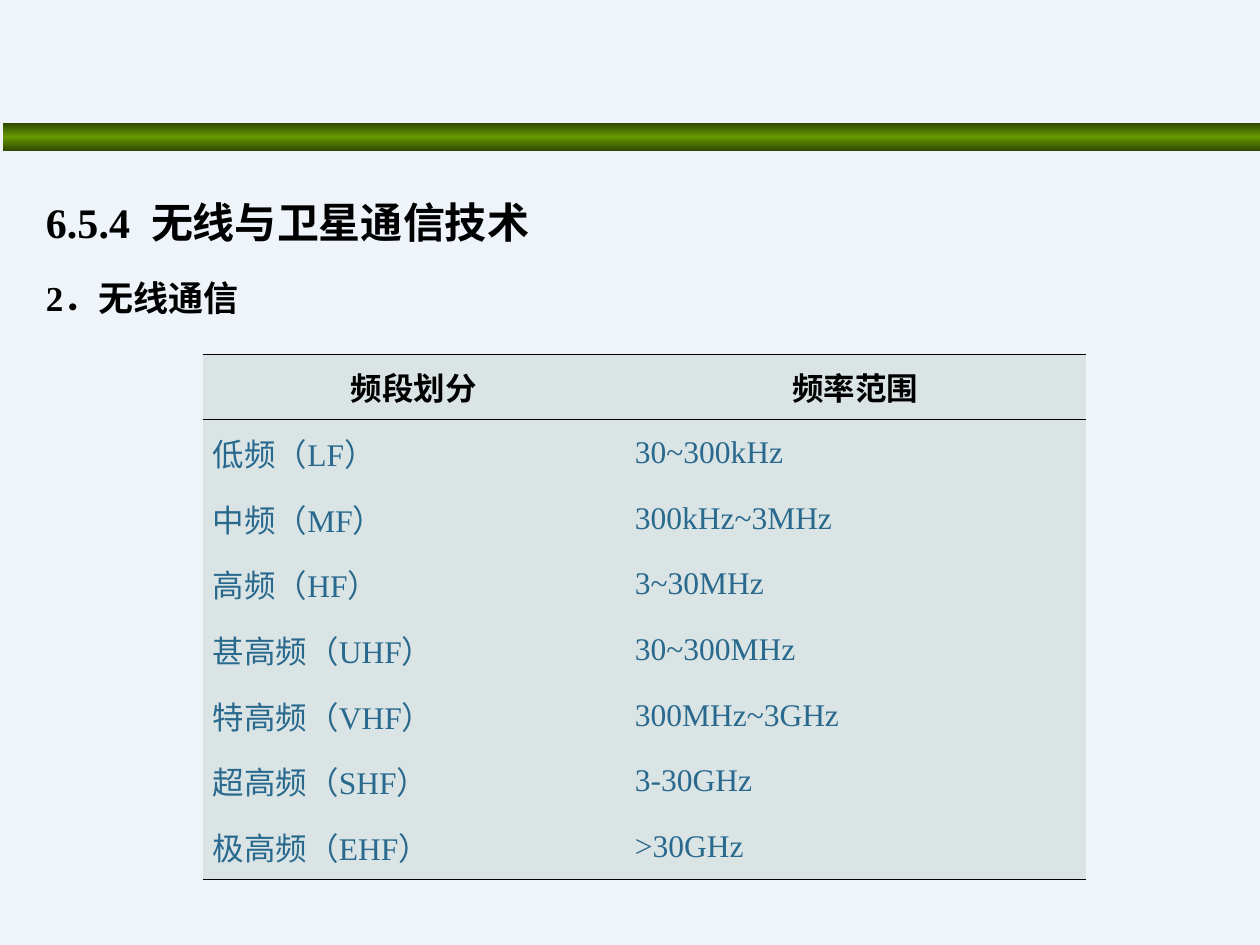
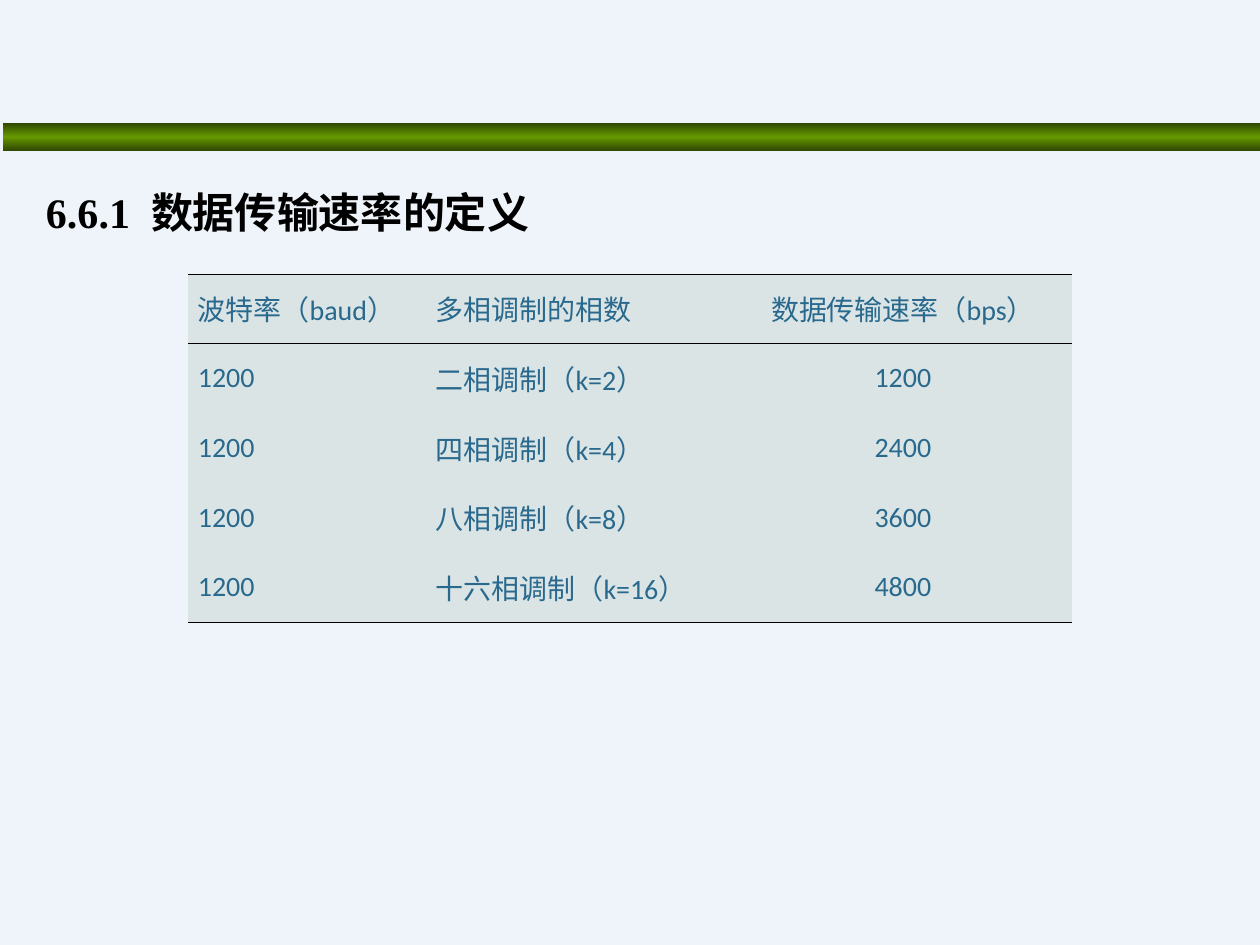
import copy

import pptx
import pptx.dml.color
import pptx.enum.shapes
import pptx.enum.text
import pptx.oxml.ns
import pptx.oxml.xmlchemy
import pptx.util
from lxml import etree

SCALE = 914400 / 126
COLORS = {
    "background": "EEF4F9",
    "band_edge": "2F4700",
    "band_middle": "669900",
    "heading": "000000",
    "rule": "000000",
    "cell": "DAE4E5",
    "cell_text": "29698D",
}
SERIF = "Times New Roman"
SANS = "Calibri"
ALIGN = pptx.enum.text.PP_ALIGN
ANCHOR = pptx.enum.text.MSO_ANCHOR
qn = pptx.oxml.ns.qn


def px(n):
    return pptx.util.Emu(round(n * SCALE))


def rgb(name):
    return pptx.dml.color.RGBColor.from_string(COLORS[name])


def write(p, text, size=18, font=SERIF, color="cell_text", bold=False,
          align=ALIGN.JUSTIFY, spacing=1.0, before=0):
    p.alignment = align
    p.line_spacing = spacing
    p.space_before = pptx.util.Pt(before)
    r = p.add_run()
    r.text = text
    r.font.size = pptx.util.Pt(size)
    r.font.name = font
    r.font.bold = bold
    r.font.color.rgb = rgb(color)


def set_insets(target, x, y):
    target.margin_left = target.margin_right = px(x)
    target.margin_top = target.margin_bottom = px(y)


def add_band(slide, x, y, w, h):
    sp = slide.shapes.add_shape(pptx.enum.shapes.MSO_SHAPE.RECTANGLE,
                                px(x), px(y), px(w), px(h))
    sp.shadow.inherit = False
    sp.line.fill.background()
    sp.fill.gradient()
    sp.fill.gradient_angle = 90
    stops = sp._element.spPr.find(".//" + qn("a:gsLst"))
    stops.append(copy.deepcopy(stops[0]))
    names = ("band_edge", "band_middle", "band_edge")
    for i, (stop, name) in enumerate(zip(sp.fill.gradient_stops, names)):
        stop.position = i / 2
        stop.color.rgb = rgb(name)


def add_heading(slide, x, y, w, h, lines):
    sp = slide.shapes.title
    sp.left, sp.top, sp.width, sp.height = px(x), px(y), px(w), px(h)
    tf = sp.text_frame
    tf.word_wrap = True
    tf.auto_size = pptx.enum.text.MSO_AUTO_SIZE.NONE
    tf.vertical_anchor = ANCHOR.TOP
    set_insets(tf, 12, 6)
    for i, (text, size) in enumerate(lines):
        p = tf.add_paragraph() if i else tf.paragraphs[0]
        write(p, text, size=size, color="heading", bold=True,
              align=ALIGN.LEFT, spacing=1.5, before=5 if i else 0)


def set_borders(cell, ruled):
    tc_pr = cell._tc.get_or_add_tcPr()
    for side in "LRTB":
        ln = etree.SubElement(tc_pr, qn("a:ln" + side))
        if side in ruled:
            ln.set("w", str(pptx.util.Pt(0.45)))
            fill = etree.SubElement(ln, qn("a:solidFill"))
            etree.SubElement(fill, qn("a:srgbClr"), val=COLORS["rule"])
        else:
            etree.SubElement(ln, qn("a:noFill"))


def add_ruled_table(slide, x, y, h, widths, rows, header, columns):
    table = slide.shapes.add_table(len(rows), len(widths), px(x), px(y),
                                   px(sum(widths)), px(h)).table
    table.first_row = table.horz_banding = False
    for column, width in zip(table.columns, widths):
        column.width = px(width)
    for i, row in enumerate(rows):
        table.rows[i].height = px(h / len(rows))
        ruled = {0: "TB", 1: "T", len(rows) - 1: "B"}.get(i, "")
        for j, text in enumerate(row):
            cell = table.cell(i, j)
            set_borders(cell, ruled)
            cell.fill.solid()
            cell.fill.fore_color.rgb = rgb("cell")
            cell.vertical_anchor = ANCHOR.MIDDLE
            set_insets(cell, 10, 6)
            style = columns[j] if i else {**columns[j], **header}
            write(cell.text_frame.paragraphs[0], text, **style)


def add_slide(prs):
    slide = prs.slides.add_slide(prs.slide_layouts[5])
    add_band(slide, 3, 123, 1257, 28)
    return slide


def add_wireless_slide(prs):
    slide = add_slide(prs)
    add_heading(slide, 34, 165, 1181, 169,
                [("6.5.4  无线与卫星通信技术", 24), ("2．无线通信", 20)])
    rows = [
        ("频段划分", "频率范围"),
        ("低频（LF）", "30~300kHz"),
        ("中频（MF）", "300kHz~3MHz"),
        ("高频（HF）", "3~30MHz"),
        ("甚高频（UHF）", "30~300MHz"),
        ("特高频（VHF）", "300MHz~3GHz"),
        ("超高频（SHF）", "3-30GHz"),
        ("极高频（EHF）", ">30GHz"),
    ]
    header = dict(font=SANS, color="heading", bold=True, align=ALIGN.CENTER)
    add_ruled_table(slide, 203, 354, 526, (422, 461), rows, header, [{}, {}])


def add_rate_slide(prs):
    slide = add_slide(prs)
    add_heading(slide, 34, 155, 1181, 100, [("6.6.1  数据传输速率的定义", 24)])
    rows = [
        ("波特率（baud）", "多相调制的相数", "数据传输速率（bps）"),
        ("1200", "二相调制（k=2）", "1200"),
        ("1200", "四相调制（k=4）", "2400"),
        ("1200", "八相调制（k=8）", "3600"),
        ("1200", "十六相调制（k=16）", "4800"),
    ]
    plain = dict(size=16, font=SANS)
    centred = dict(plain, align=ALIGN.CENTER)
    add_ruled_table(slide, 188, 274, 348, (238, 308, 338), rows, {},
                    [plain, plain, centred])


def main():
    prs = pptx.Presentation()
    prs.slide_width, prs.slide_height = px(1260), px(945)
    fill = prs.slide_master.background.fill
    fill.solid()
    fill.fore_color.rgb = rgb("background")
    add_wireless_slide(prs)
    add_rate_slide(prs)
    prs.save("out.pptx")


if __name__ == "__main__":
    main()
